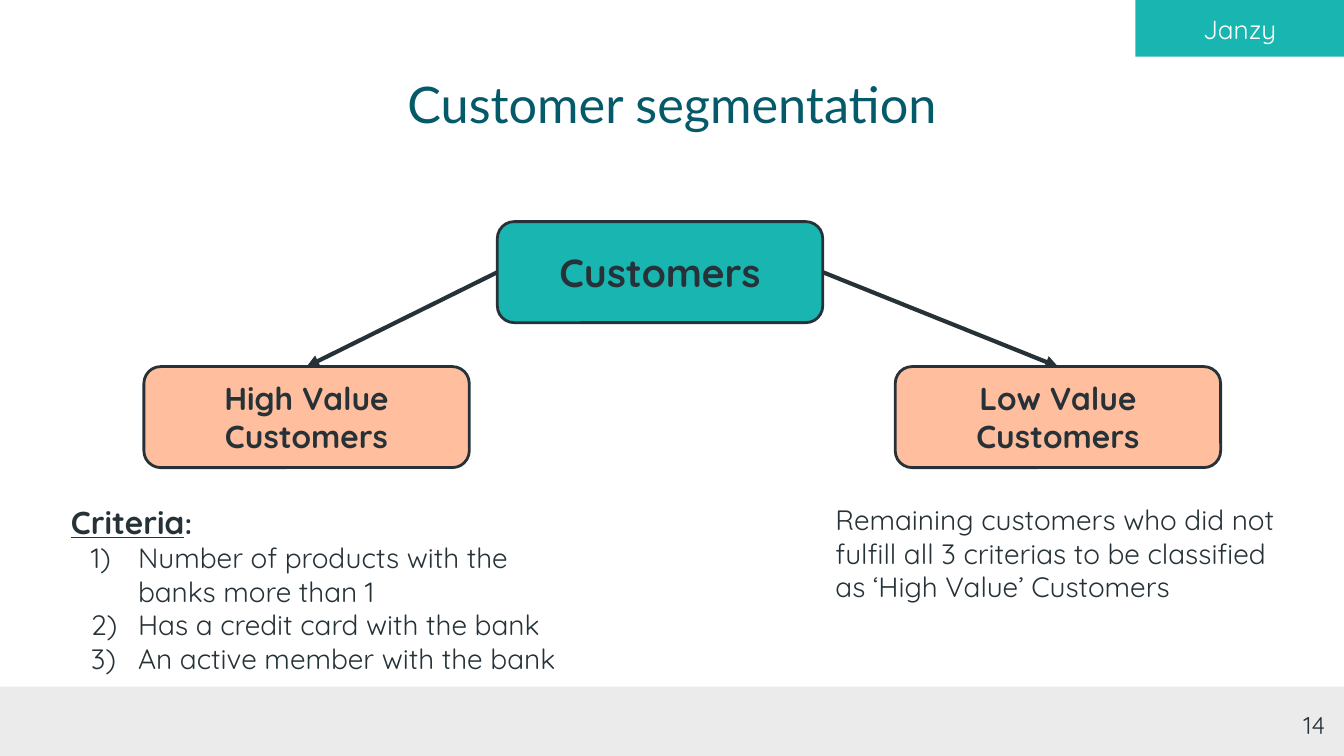
from pptx import Presentation
from pptx.dml.color import RGBColor
from pptx.enum.shapes import MSO_CONNECTOR as Connector, MSO_SHAPE as Shape
from pptx.enum.text import MSO_ANCHOR as Anchor, PP_ALIGN as Align
from pptx.oxml.ns import qn
from pptx.util import Cm, Pt
from lxml.etree import SubElement

WIDTH, HEIGHT = 25.4, 14.29
TEAL, PEACH, GREY = "19B5B1", "FFBE9D", "EBEBEB"
INK, TITLE_INK, WHITE = "263238", "045A68", "FFFFFF"
INSET = 0.25
NODE_SIZE = (6.15, 1.91)
BODY_TOP = 9.25


def color(value):
    """Turn a hex string into a colour."""
    return RGBColor.from_string(value)


def write(para, text, ink=INK, align=Align.LEFT, **formats):
    """Add one formatted span to a paragraph."""
    para.alignment = align
    span = para.add_run()
    span.text = text
    span.font.color.rgb = color(ink)
    for name, value in {"name": "Quicksand", **formats}.items():
        setattr(span.font, name, value)


def prepare(shape, anchor=Anchor.TOP):
    """Set up a shape's text frame and return its first paragraph."""
    frame = shape.text_frame
    frame.word_wrap = True
    frame.vertical_anchor = anchor
    for side in ("left", "top", "right", "bottom"):
        setattr(frame, f"margin_{side}", Cm(INSET))
    return frame.paragraphs[0]


def add_label(page, box, text, anchor=Anchor.TOP, **formats):
    """Place a text box holding one paragraph."""
    label = page.shapes.add_textbox(*map(Cm, box))
    write(prepare(label, anchor), text, **formats)


def add_panel(page, box, fill, kind=Shape.RECTANGLE):
    """Place a flat filled shape without an outline."""
    panel = page.shapes.add_shape(kind, *map(Cm, box))
    panel.shadow.inherit = False
    panel.fill.solid()
    panel.fill.fore_color.rgb = color(fill)
    panel.line.fill.background()
    return panel


def add_tag(page, box, text):
    """Place the corner name tag."""
    tag = add_panel(page, box, TEAL)
    write(prepare(tag), text, WHITE, Align.CENTER, size=Pt(14))


def add_node(page, box, text, fill, size):
    """Place one outlined node of the segmentation tree."""
    node = add_panel(page, box, fill, Shape.ROUNDED_RECTANGLE)
    node.line.color.rgb = color(INK)
    node.line.width = Pt(1.5)
    write(prepare(node, Anchor.MIDDLE), text, align=Align.CENTER, size=Pt(size), bold=True)
    return node


def add_arrow(page, source, side, target):
    """Join a side of the source to the top of the target."""
    arrow = page.shapes.add_connector(Connector.STRAIGHT, 0, 0, 0, 0)
    arrow.begin_connect(source, side)
    arrow.end_connect(target, 0)
    arrow.line.color.rgb = color(INK)
    arrow.line.width = Pt(2.25)
    SubElement(arrow.line._get_or_add_ln(), qn("a:tailEnd"), type="triangle")
    SubElement(arrow._element.spPr, qn("a:effectLst"))


def add_tree(page, box):
    """Place the customer root, its two segments and the arrows."""
    left, top, width, height = box
    node_width, node_height = NODE_SIZE
    segment_top = top + height - node_height
    root = add_node(page, (left + 6.68, top, *NODE_SIZE), "Customers", TEAL, 21)
    segments = (
        ("High Value Customers", left, 1),
        ("Low Value Customers", left + width - node_width, 3),
    )
    for text, segment_left, side in segments:
        node = add_node(page, (segment_left, segment_top, *NODE_SIZE), text, PEACH, 17)
        add_arrow(page, root, side, node)


def add_criteria(page, box, items):
    """Place the heading and the numbered criteria."""
    criteria = page.shapes.add_textbox(*map(Cm, box))
    heading = prepare(criteria)
    write(heading, "Criteria", size=Pt(17), bold=True, underline=True)
    write(heading, ":", size=Pt(15), bold=True)
    for item in items:
        para = criteria.text_frame.add_paragraph()
        write(para, item, size=Pt(15))
        props = para._p.get_or_add_pPr()
        props.set("marL", str(Cm(1.27)))
        props.set("indent", str(-Cm(0.89)))
        SubElement(props, qn("a:buFont"), typeface="Quicksand")
        SubElement(props, qn("a:buAutoNum"), type="arabicParenR")


def main():
    """Build the customer segmentation slide."""
    deck = Presentation()
    deck.slide_width, deck.slide_height = Cm(WIDTH), Cm(HEIGHT)
    page = deck.slides.add_slide(deck.slide_layouts[6])
    add_panel(page, (0, 12.98, WIDTH, HEIGHT - 12.98), GREY)
    add_label(page, (2, 1.5, 21.4, 0.89), "Customer segmentation", Anchor.MIDDLE,
              ink=TITLE_INK, align=Align.CENTER, name="Lato", size=Pt(27))
    add_tag(page, (21.46, 0, 3.94, 1.07), "Janzy")
    add_tree(page, (2.72, 4.19, 20.35, 4.65))
    add_criteria(page, (1.09, BODY_TOP, 10.03, 5.04), (
        "Number of products with the banks more than 1",
        "Has a credit card with the bank",
        "An active member with the bank",
    ))
    add_label(page, (15.54, BODY_TOP, 9.14, 2.62),
              "Remaining customers who did not fulfill all 3 criterias to be "
              "classified as ‘High Value’ Customers", size=Pt(15))
    add_label(page, (23.77, 13.18, 1.52, 1.09), "14", align=Align.RIGHT, size=Pt(13))
    deck.save("out.pptx")


if __name__ == "__main__":
    main()
